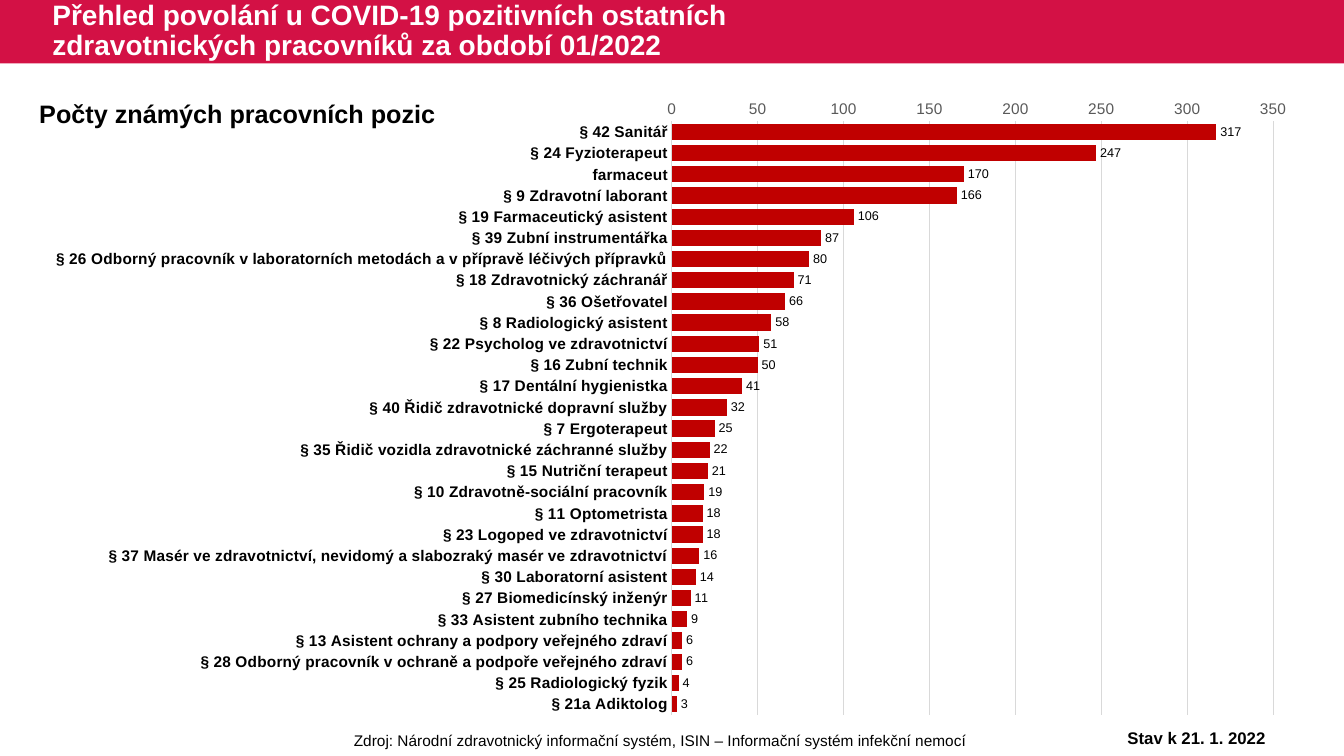
from lxml import etree
from pptx import Presentation
from pptx.chart import data as chart_data
from pptx.dml.color import RGBColor
from pptx.enum import chart as ch, shapes, text
from pptx.oxml import ns
from pptx.util import Cm, Pt

FONT = "Arial"
CRIMSON = RGBColor(0xD3, 0x11, 0x45)
BAR_RED = RGBColor(0xC0, 0x00, 0x00)
BLACK = RGBColor(0, 0, 0)
WHITE = RGBColor(0xFF, 0xFF, 0xFF)
AXIS_GREY = RGBColor(0x59, 0x59, 0x59)
GRID_GREY = RGBColor(0xD9, 0xD9, 0xD9)

SLIDE_WIDTH, SLIDE_HEIGHT = Cm(33.87), Cm(19.05)
HEADER_HEIGHT = Cm(1.6)

POSITION_COUNTS = [
    ("§ 42 Sanitář", 317),
    ("§ 24 Fyzioterapeut", 247),
    ("farmaceut", 170),
    ("§ 9 Zdravotní laborant", 166),
    ("§ 19 Farmaceutický asistent", 106),
    ("§ 39 Zubní instrumentářka", 87),
    ("§ 26 Odborný pracovník v laboratorních metodách a v přípravě léčivých přípravků", 80),
    ("§ 18 Zdravotnický záchranář", 71),
    ("§ 36 Ošetřovatel", 66),
    ("§ 8 Radiologický asistent", 58),
    ("§ 22 Psycholog ve zdravotnictví", 51),
    ("§ 16 Zubní technik", 50),
    ("§ 17 Dentální hygienistka", 41),
    ("§ 40 Řidič zdravotnické dopravní služby", 32),
    ("§ 7 Ergoterapeut", 25),
    ("§ 35 Řidič vozidla zdravotnické záchranné služby", 22),
    ("§ 15 Nutriční terapeut", 21),
    ("§ 10 Zdravotně-sociální pracovník", 19),
    ("§ 11 Optometrista", 18),
    ("§ 23 Logoped ve zdravotnictví", 18),
    ("§ 37 Masér ve zdravotnictví, nevidomý a slabozraký masér ve zdravotnictví", 16),
    ("§ 30 Laboratorní asistent", 14),
    ("§ 27 Biomedicínský inženýr", 11),
    ("§ 33 Asistent zubního technika", 9),
    ("§ 13 Asistent ochrany a podpory veřejného zdraví", 6),
    ("§ 28 Odborný pracovník v ochraně a podpoře veřejného zdraví", 6),
    ("§ 25 Radiologický fyzik", 4),
    ("§ 21a Adiktolog", 3),
]


def set_font(font, size, color=BLACK, bold=False):
    font.name = FONT
    font.size = Pt(size)
    font.bold = bold
    font.color.rgb = color


def add_text(slide, words, left, top, width, height, *, size, color=BLACK, bold=False,
             align=text.PP_ALIGN.LEFT, anchor=text.MSO_ANCHOR.TOP, wrap=True, line_spacing=1.0):
    frame = slide.shapes.add_textbox(left, top, width, height).text_frame
    frame.word_wrap = wrap
    frame.vertical_anchor = anchor
    paragraph = frame.paragraphs[0]
    paragraph.alignment = align
    paragraph.line_spacing = line_spacing
    run = paragraph.add_run()
    run.text = words
    set_font(run.font, size, color, bold)


def add_header_band(slide):
    band = slide.shapes.add_shape(shapes.MSO_SHAPE.RECTANGLE, 0, 0, SLIDE_WIDTH, HEADER_HEIGHT)
    band.shadow.inherit = False
    band.fill.solid()
    band.fill.fore_color.rgb = CRIMSON
    band.line.fill.background()


def set_plot_layout(chart, **fractions):
    """Fix the inner plot area, given as fractions of the chart frame."""
    plot_area = chart._chartSpace.chart.plotArea
    for automatic in plot_area.findall(ns.qn("c:layout")):
        plot_area.remove(automatic)
    layout = etree.Element(ns.qn("c:layout"))
    manual = etree.SubElement(layout, ns.qn("c:manualLayout"))
    settings = {"layoutTarget": "inner", "xMode": "edge", "yMode": "edge", **fractions}
    for tag, value in settings.items():
        etree.SubElement(manual, ns.qn(f"c:{tag}")).set("val", str(value))
    plot_area.insert(0, layout)


def style_axes(chart):
    positions, counts = chart.category_axis, chart.value_axis
    for axis in (positions, counts):
        axis.major_tick_mark = axis.minor_tick_mark = ch.XL_TICK_MARK.NONE
    set_font(positions.tick_labels.font, 11, bold=True)
    positions.reverse_order = True
    positions.format.line.color.rgb = GRID_GREY
    positions.format.line.width = Pt(0.75)

    set_font(counts.tick_labels.font, 11, AXIS_GREY)
    counts.minimum_scale, counts.maximum_scale, counts.major_unit = 0, 350, 50
    counts.format.line.fill.background()
    counts.major_gridlines.format.line.color.rgb = GRID_GREY
    counts.major_gridlines.format.line.width = Pt(0.75)


def add_position_chart(slide, left, top, width, height):
    names, counts = zip(*POSITION_COUNTS)
    data = chart_data.CategoryChartData()
    data.categories = names
    data.add_series("Počet", counts)
    chart = slide.shapes.add_chart(
        ch.XL_CHART_TYPE.BAR_CLUSTERED, left, top, width, height, data).chart
    chart.has_legend = False
    chart.has_title = False
    set_font(chart.font, 10)
    style_axes(chart)
    set_plot_layout(chart, x=0.511, y=0.063, w=0.46, h=0.917)

    bars = chart.plots[0]
    bars.vary_by_categories = False
    bars.gap_width = 30
    bars.overlap = 100
    fill = bars.series[0].format.fill
    fill.solid()
    fill.fore_color.rgb = BAR_RED
    bars.has_data_labels = True
    labels = bars.data_labels
    labels.show_value = True
    labels.position = ch.XL_LABEL_POSITION.OUTSIDE_END
    set_font(labels.font, 9)


def main():
    presentation = Presentation()
    presentation.slide_width, presentation.slide_height = SLIDE_WIDTH, SLIDE_HEIGHT
    slide = presentation.slides.add_slide(presentation.slide_layouts[6])

    add_header_band(slide)
    add_position_chart(slide, Cm(0.1), Cm(2.03), Cm(32.94), Cm(16.31))
    add_text(slide, "Zdroj: Národní zdravotnický informační systém, ISIN – Informační systém infekční nemocí",
             Cm(6), Cm(18.29), Cm(21.29), Cm(0.74), size=11, align=text.PP_ALIGN.CENTER)
    add_text(slide, "Přehled povolání u COVID-19 pozitivních ostatních zdravotnických pracovníků za období 01/2022",
             Cm(1.07), 0, Cm(20.98), HEADER_HEIGHT, size=20, color=WHITE, bold=True,
             anchor=text.MSO_ANCHOR.MIDDLE, line_spacing=0.9)
    add_text(slide, "Počty známých pracovních pozic",
             Cm(0.74), Cm(2.36), Cm(10.57), Cm(1.02), size=18, bold=True, wrap=False)
    add_text(slide, "Stav k 21. 1. 2022",
             Cm(27.36), Cm(18.21), Cm(5.59), Cm(0.76), size=12, bold=True, align=text.PP_ALIGN.CENTER)

    presentation.save("out.pptx")


if __name__ == "__main__":
    main()
